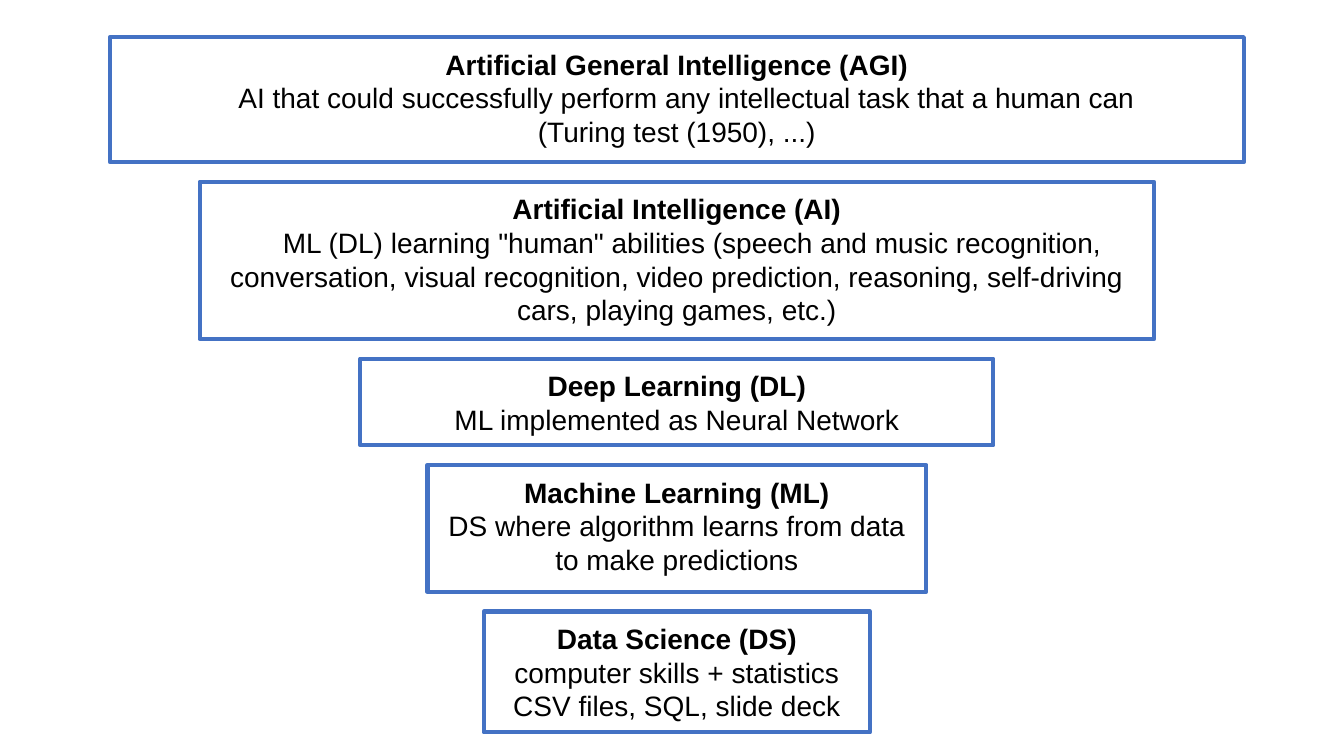
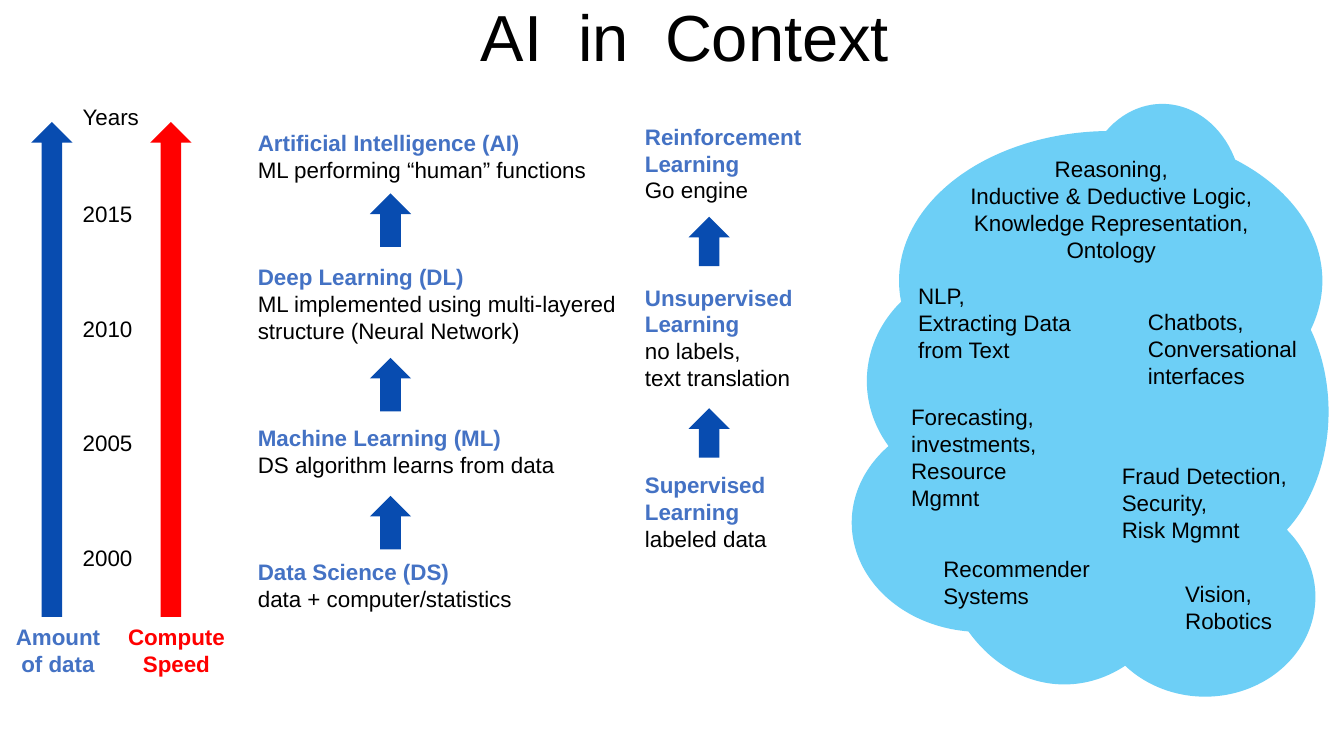
from dataclasses import dataclass

from pptx import Presentation
from pptx.dml.color import RGBColor
from pptx.enum.shapes import MSO_SHAPE
from pptx.enum.text import MSO_ANCHOR, PP_ALIGN
from pptx.util import Pt

RECTANGLE = MSO_SHAPE.RECTANGLE
ELLIPSE = MSO_SHAPE.OVAL
UP_ARROW = MSO_SHAPE.UP_ARROW
TOP, BOTTOM = MSO_ANCHOR.TOP, MSO_ANCHOR.BOTTOM
LEFT, CENTER = PP_ALIGN.LEFT, PP_ALIGN.CENTER


@dataclass(frozen=True)
class Theme:
    font: str = "Arial"
    black: RGBColor = RGBColor(0x00, 0x00, 0x00)
    blue: RGBColor = RGBColor(0x44, 0x72, 0xC4)
    arrow_blue: RGBColor = RGBColor(0x08, 0x4C, 0xB0)
    red: RGBColor = RGBColor(0xFF, 0x00, 0x00)
    sky: RGBColor = RGBColor(0x6D, 0xCF, 0xF6)
    title_size: float = 46.5
    level_size: float = 20
    body_size: float = 16
    border: float = 3
    level_inset: float = 7.2


THEME = Theme()
SLIDE_WIDTH, SLIDE_HEIGHT = 960, 540

# Slide 1: width, height, first-line indent of the description, heading, description
LEVELS = [
    (810, 89.3, 14, "Artificial General Intelligence (AGI)",
     ["AI that could successfully perform any intellectual task that a human can",
      "(Turing test (1950), ...)"]),
    (681.8, 112.3, 22, "Artificial Intelligence (AI)",
     ['ML (DL) learning "human" abilities (speech and music recognition, conversation, '
      "visual recognition, video prediction, reasoning, self-driving cars, playing games, etc.)"]),
    (452.2, 61.9, 0, "Deep Learning (DL)", ["ML implemented as Neural Network"]),
    (356.4, 90.7, 0, "Machine Learning (ML)",
     ["DS where algorithm learns from data to make predictions"]),
    (275.8, 86.4, 0, "Data Science (DS)",
     ["computer skills + statistics", "CSV files, SQL, slide deck"]),
]
LEVELS_CENTER, LEVELS_TOP, LEVELS_GAP = 483.5, 26.6, 14

# Slide 2
TITLE_WORDS = ["AI", "in", "Context"]
TITLE_EXTRA_GAP = 12.9

YEARS = ["2015", "2010", "2005", "2000"]
YEARS_LEFT, YEARS_TOP, YEARS_STEP = 52, 139.7, 81.8
YEARS_HEADING_TOP = 69.8

ARROW_WIDTH = 29.5
# Arrow left, arrow colour, label left, label width, label colour, label
TRENDS = [
    (22.3, THEME.arrow_blue, 0, 82.8, THEME.blue, ["Amount", "of data"]),
    (107.3, THEME.red, 74.2, 103.7, THEME.red, ["Compute", "Speed"]),
]
TREND_TOP, TREND_HEIGHT, TREND_LABEL_TOP = 87.1, 353.5, 441.4

LINE_STEP = 19.15
# Each stage: line on which it starts, heading lines, description lines
LADDERS = [
    {"left": 177.1, "top": 88.6, "width": 282,
     "stages": [
         (0, ["Artificial Intelligence (AI)"], ["ML performing “human” functions"]),
         (5, ["Deep Learning (DL)"],
          ["ML implemented using multi-layered", "structure (Neural Network)"]),
         (11, ["Machine Learning (ML)"], ["DS algorithm learns from data"]),
         (16, ["Data Science (DS)"], ["data + computer/statistics"]),
     ],
     "arrow_left": 264.2, "arrow_height": 38.2, "arrow_tops": [138.2, 255.6, 354.2]},
    {"left": 453.6, "top": 84.2, "width": 200,
     "stages": [
         (0, ["Reinforcement", "Learning"], ["Go engine"]),
         (6, ["Unsupervised", "Learning"], ["no labels,", "text translation"]),
         (13, ["Supervised", "Learning"], ["labeled data"]),
     ],
     "arrow_left": 491.8, "arrow_height": 35.3, "arrow_tops": [154.8, 291.6]},
]

CLOUD_PUFFS = [
    (773.3, 74.2, 113.8, 133.9),
    (670.3, 273.6, 180, 215.3),
    (781.9, 355, 157.7, 142.6),
    (791.3, 186.5, 157.7, 215.3),
    (608.4, 295.2, 184.3, 156.2),
    (619.2, 190.1, 177.1, 164.2),
    (642.2, 93.6, 302.4, 213.8),
]
# Left, top, width, alignment, lines
APPLICATIONS = [
    (674.6, 107.3, 238.3, CENTER,
     ["Reasoning,", "Inductive & Deductive Logic,", "Knowledge Representation,", "Ontology"]),
    (648.7, 198, 128.9, LEFT, ["NLP,", "Extracting Data from Text"]),
    (812.9, 216.7, 124.6, LEFT, ["Chatbots,", "Conversational", "interfaces"]),
    (643.7, 284.4, 135.4, LEFT, ["Forecasting,", "investments,", "Resource Mgmnt"]),
    (794.2, 326.9, 142.6, LEFT, ["Fraud Detection, Security,", "Risk Mgmnt"]),
    (666.7, 393.1, 135.4, LEFT, ["Recommender", "Systems"]),
    (839.5, 411.1, 85, LEFT, ["Vision,", "Robotics"]),
]


def add_filled(slide, preset, box, fill=None, border=None):
    shape = slide.shapes.add_shape(preset, *map(Pt, box))
    shape.shadow.inherit = False
    if fill is None:
        shape.fill.background()
    else:
        shape.fill.solid()
        shape.fill.fore_color.rgb = fill
    if border is None:
        shape.line.fill.background()
    else:
        shape.line.color.rgb = border
        shape.line.width = Pt(THEME.border)
    return shape


def style(paragraph, size, color=THEME.black, bold=False, align=LEFT):
    paragraph.alignment = align
    font = paragraph.font
    font.name, font.size, font.bold = THEME.font, Pt(size), bold
    font.color.rgb = color


def write(frame, lines, size=THEME.body_size, align=LEFT):
    """Fill a text frame with (text, colour, bold) lines, one paragraph each."""
    frame.word_wrap = True
    frame.vertical_anchor = TOP
    for index, (text, color, bold) in enumerate(lines):
        paragraph = frame.add_paragraph() if index else frame.paragraphs[0]
        paragraph.text = text
        style(paragraph, size, color, bold, align)


def plain(lines):
    return [(line, THEME.black, False) for line in lines]


def strong(lines, color=THEME.blue):
    return [(line, color, True) for line in lines]


def add_text(slide, left, top, width, lines, align=LEFT):
    height = 7.2 + LINE_STEP * len(lines)
    box = slide.shapes.add_textbox(Pt(left), Pt(top), Pt(width), Pt(height))
    write(box.text_frame, lines, align=align)


def add_title(slide):
    frame = slide.shapes.add_textbox(Pt(42.5), Pt(5), Pt(893.5), Pt(50.4)).text_frame
    frame.word_wrap = True
    frame.vertical_anchor = BOTTOM
    paragraph = frame.paragraphs[0]
    style(paragraph, THEME.title_size, align=CENTER)
    paragraph.line_spacing = 0.7
    for index, word in enumerate(TITLE_WORDS):
        if index:
            space = paragraph.add_run()
            space.text = " "
            space.font._element.set("spc", str(round(TITLE_EXTRA_GAP * 100)))
        paragraph.add_run().text = word


def build_levels(slide):
    top = LEVELS_TOP
    for width, height, indent, heading, description in LEVELS:
        box = (LEVELS_CENTER - width / 2, top, width, height)
        frame = add_filled(slide, RECTANGLE, box, border=THEME.blue).text_frame
        frame.margin_left = frame.margin_right = Pt(THEME.level_inset)
        frame.margin_top = frame.margin_bottom = Pt(THEME.level_inset)
        write(frame, [(heading, THEME.black, True)] + plain(description),
              THEME.level_size, CENTER)
        if indent:
            properties = frame.paragraphs[1]._p.get_or_add_pPr()
            properties.set("marL", "0")
            properties.set("indent", str(Pt(indent)))
        top += height + LEVELS_GAP


def build_trends(slide):
    for left, fill, label_left, label_width, color, label in TRENDS:
        add_filled(slide, UP_ARROW, (left, TREND_TOP, ARROW_WIDTH, TREND_HEIGHT), fill)
        add_text(slide, label_left, TREND_LABEL_TOP, label_width,
                 strong(label, color), CENTER)
    add_text(slide, YEARS_LEFT, YEARS_HEADING_TOP, 56, plain(["Years"]))
    for index, year in enumerate(YEARS):
        add_text(slide, YEARS_LEFT, YEARS_TOP + index * YEARS_STEP, 56, plain([year]))


def build_ladder(slide, ladder):
    for first_line, heading, description in ladder["stages"]:
        add_text(slide, ladder["left"], ladder["top"] + first_line * LINE_STEP,
                 ladder["width"], strong(heading) + plain(description))
    for top in ladder["arrow_tops"]:
        box = (ladder["arrow_left"], top, ARROW_WIDTH, ladder["arrow_height"])
        add_filled(slide, UP_ARROW, box, THEME.arrow_blue)


def build_cloud(slide):
    for puff in CLOUD_PUFFS:
        add_filled(slide, ELLIPSE, puff, THEME.sky)
    for left, top, width, align, lines in APPLICATIONS:
        add_text(slide, left, top, width, plain(lines), align)


def main():
    deck = Presentation()
    deck.slide_width, deck.slide_height = Pt(SLIDE_WIDTH), Pt(SLIDE_HEIGHT)
    blank = deck.slide_layouts[6]

    build_levels(deck.slides.add_slide(blank))

    context = deck.slides.add_slide(blank)
    add_title(context)
    build_trends(context)
    for ladder in LADDERS:
        build_ladder(context, ladder)
    build_cloud(context)

    deck.save("out.pptx")


if __name__ == "__main__":
    main()
